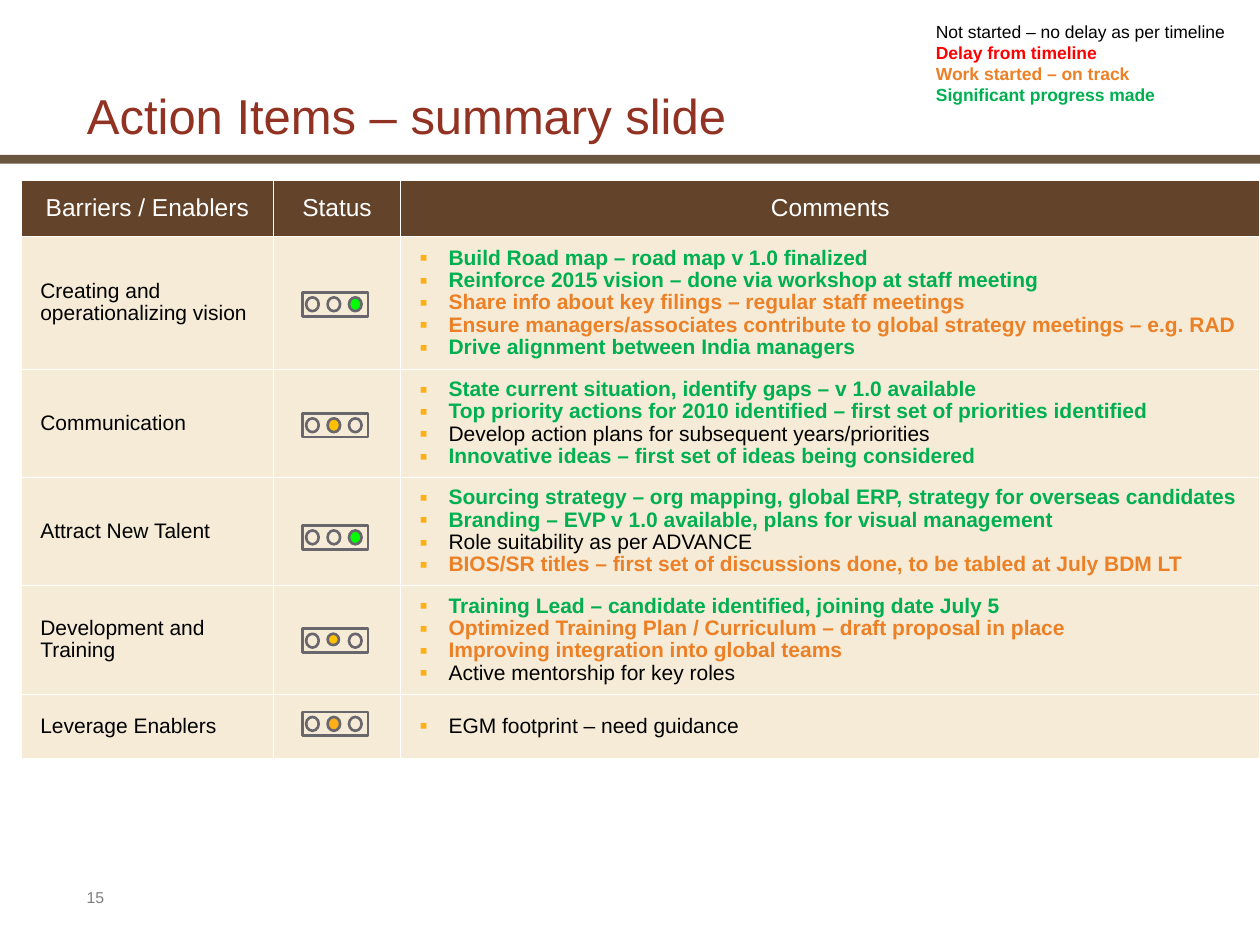
from itertools import accumulate

from lxml import etree
from pptx import Presentation
from pptx import util as u
from pptx.dml.color import RGBColor
from pptx.enum import shapes, text
from pptx.oxml import ns

WIDTH, HEIGHT = 10, 7.5
WHITE = RGBColor(0xFF, 0xFF, 0xFF)
BLACK = RGBColor(0x00, 0x00, 0x00)
RED = RGBColor(0xFF, 0x00, 0x00)
ORANGE = RGBColor(0xEC, 0x80, 0x26)
GREEN = RGBColor(0x00, 0xB0, 0x50)
AMBER = RGBColor(0xFC, 0xAF, 0x17)
LAMP_GREEN = RGBColor(0x00, 0xFF, 0x00)
LAMP_YELLOW = RGBColor(0xFF, 0xC0, 0x00)
GREY = RGBColor(0x69, 0x67, 0x6D)
PAGE_GREY = RGBColor(0x7F, 0x7F, 0x7F)
TITLE_RED = RGBColor(0x92, 0x32, 0x22)
RULE_BROWN = RGBColor(0x6A, 0x55, 0x40)
HEADER_BROWN = RGBColor(0x63, 0x43, 0x29)
CREAM = RGBColor(0xF5, 0xEB, 0xD7)

COLUMNS = [2, 1.01, 6.82]
ROWS = [0.45, 1.05, 0.86, 0.86, 0.86, 0.51]
HEADINGS = ["Barriers / Enablers", "Status", "Comments"]
LEGEND = [
    ("Not started – no delay as per timeline", BLACK),
    ("Delay from timeline", RED),
    ("Work started – on track", ORANGE),
    ("Significant progress made", GREEN),
]
ITEMS = [
    ("Creating and operationalizing vision", [
        ("Build Road map – road map v 1.0 finalized", GREEN),
        ("Reinforce 2015 vision – done via workshop at staff meeting", GREEN),
        ("Share info about key filings – regular staff meetings", ORANGE),
        ("Ensure managers/associates contribute to global strategy meetings – e.g. RAD", ORANGE),
        ("Drive alignment between India managers", GREEN),
    ]),
    ("Communication", [
        ("State current situation, identify gaps – v 1.0 available", GREEN),
        ("Top priority actions for 2010 identified – first set of priorities identified", GREEN),
        ("Develop action plans for subsequent years/priorities", BLACK),
        ("Innovative ideas – first set of ideas being considered", GREEN),
    ]),
    ("Attract New Talent", [
        ("Sourcing strategy – org mapping, global ERP, strategy for overseas candidates", GREEN),
        ("Branding – EVP v 1.0 available, plans for visual management", GREEN),
        ("Role suitability as per ADVANCE", BLACK),
        ("BIOS/SR titles – first set of discussions done, to be tabled at July BDM LT", ORANGE),
    ]),
    ("Development and Training", [
        ("Training Lead – candidate identified, joining date July 5", GREEN),
        ("Optimized Training Plan / Curriculum – draft proposal in place", ORANGE),
        ("Improving integration into global teams", ORANGE),
        ("Active mentorship for key roles", BLACK),
    ]),
    ("Leverage Enablers", [("EGM footprint – need guidance", BLACK)]),
]
LIGHTS = [
    {"drop": 0.44, "lit": 2, "color": LAMP_GREEN},
    {"drop": 0.35, "lit": 1, "color": LAMP_YELLOW},
    {"drop": 0.38, "lit": 2, "color": LAMP_GREEN},
    {"drop": 0.34, "lit": 1, "color": LAMP_YELLOW, "size": (0.09, 0.09)},
    {"drop": 0.14, "lit": 1, "color": AMBER},
]


def inches(*lengths):
    return [u.Inches(length) for length in lengths]


def apply_format(target, values):
    for name, value in values.items():
        setattr(target, name, value)


def add_bullet(paragraph):
    properties = paragraph._p.get_or_add_pPr()
    properties.set("marL", str(u.Inches(0.23)))
    properties.set("indent", str(-u.Inches(0.23)))
    color = etree.SubElement(properties, ns.qn("a:buClr"))
    etree.SubElement(color, ns.qn("a:srgbClr"), val=str(AMBER))
    etree.SubElement(properties, ns.qn("a:buSzPct"), val="110000")
    etree.SubElement(properties, ns.qn("a:buFont"), typeface="Arial")
    etree.SubElement(properties, ns.qn("a:buChar"), char="▪")


def write_lines(frame, lines, size, bullets=False, bold=None, **layout):
    for index, (words, color) in enumerate(lines):
        paragraph = frame.add_paragraph() if index else frame.paragraphs[0]
        if bullets:
            add_bullet(paragraph)
        apply_format(paragraph, layout)
        run = paragraph.add_run()
        run.text = words
        weight = color not in (BLACK,) if bold is None else bold
        apply_format(run.font, {"name": "Arial", "size": u.Pt(size), "bold": weight})
        run.font.color.rgb = color


def add_rule(slide, box):
    rule = slide.shapes.add_shape(shapes.MSO_SHAPE.RECTANGLE, *inches(*box))
    rule.shadow.inherit = False
    rule.fill.solid()
    rule.fill.fore_color.rgb = RULE_BROWN
    rule.line.fill.background()


def add_title(slide, box):
    title = slide.shapes.title
    apply_format(title, dict(zip(("left", "top", "width", "height"), inches(*box))))
    apply_format(title.text_frame, {
        "vertical_anchor": text.MSO_ANCHOR.BOTTOM,
        "word_wrap": True,
        "auto_size": text.MSO_AUTO_SIZE.NONE,
    })
    write_lines(title.text_frame, [("Action Items – summary slide", TITLE_RED)], 28,
                bold=False, alignment=text.PP_ALIGN.LEFT, line_spacing=0.95)


def add_text(slide, box, lines, size, bold=None):
    frame = slide.shapes.add_textbox(*inches(*box)).text_frame
    frame.word_wrap = True
    write_lines(frame, lines, size, bold=bold)


def style_cell(cell, fill):
    apply_format(cell, {
        "margin_left": u.Inches(0.15),
        "margin_right": u.Inches(0.15),
        "vertical_anchor": text.MSO_ANCHOR.MIDDLE,
    })
    properties = cell._tc.get_or_add_tcPr()
    for side in ("lnL", "lnR", "lnT", "lnB"):
        border = etree.SubElement(properties, ns.qn(f"a:{side}"), w=str(u.Pt(0.75)))
        paint = etree.SubElement(border, ns.qn("a:solidFill"))
        etree.SubElement(paint, ns.qn("a:srgbClr"), val=str(WHITE))
    cell.fill.solid()
    cell.fill.fore_color.rgb = fill


def add_action_table(slide, left, top):
    box = inches(left, top, sum(COLUMNS), sum(ROWS))
    table = slide.shapes.add_table(len(ROWS), len(COLUMNS), *box).table
    for column, width in zip(table.columns, COLUMNS):
        column.width = u.Inches(width)
    for index, (row, height) in enumerate(zip(table.rows, ROWS)):
        row.height = u.Inches(height)
        for cell in row.cells:
            style_cell(cell, CREAM if index else HEADER_BROWN)
    for cell, heading in zip(table.rows[0].cells, HEADINGS):
        write_lines(cell.text_frame, [(heading, WHITE)], 14, bold=False,
                    alignment=text.PP_ALIGN.CENTER, line_spacing=0.95)
    for index, (name, comments) in enumerate(ITEMS, 1):
        write_lines(table.cell(index, 0).text_frame, [(name, BLACK)], 12, line_spacing=0.95)
        write_lines(table.cell(index, 2).text_frame, comments, 12, bullets=True, line_spacing=0.95)


def add_outline(group, kind, box, fill=None):
    shape = group.shapes.add_shape(kind, *inches(*box))
    shape.shadow.inherit = False
    shape.line.color.rgb = GREY
    shape.line.width = u.Pt(1.5)
    if fill is None:
        shape.fill.background()
    else:
        shape.fill.solid()
        shape.fill.fore_color.rgb = fill


def add_traffic_light(slide, left, top, lit, color, size=(0.1, 0.11)):
    group = slide.shapes.add_group_shape()
    add_outline(group, shapes.MSO_SHAPE.RECTANGLE, (left, top, 0.52, 0.19))
    for index in range(3):
        active = index == lit
        lamp = size if active else (0.1, 0.11)
        place = (left + 0.03 + 0.17 * index, top + 0.04)
        add_outline(group, shapes.MSO_SHAPE.OVAL, place + lamp, color if active else None)


def build_summary_slide(presentation):
    slide = presentation.slides.add_slide(presentation.slide_layouts[5])
    table_left, table_top = 0.17, 1.43
    add_rule(slide, (0, 1.23, WIDTH, 0.07))
    add_title(slide, (0.59, 0.35, 9.07, 0.86))
    add_action_table(slide, table_left, table_top)
    for row_top, light in zip(accumulate(ROWS, initial=table_top), [None] + LIGHTS):
        if light:
            settings = dict(light)
            light_top = row_top + settings.pop("drop")
            add_traffic_light(slide, table_left + COLUMNS[0] + 0.23, light_top, **settings)
    add_text(slide, (7.33, 0.12, 2.6, 0.77), LEGEND, 10)
    add_text(slide, (0.59, 7, 0.44, 0.27), [("15", PAGE_GREY)], 9, bold=False)


def main():
    presentation = Presentation()
    apply_format(presentation, {"slide_width": u.Inches(WIDTH), "slide_height": u.Inches(HEIGHT)})
    build_summary_slide(presentation)
    presentation.save("out.pptx")


if __name__ == "__main__":
    main()
